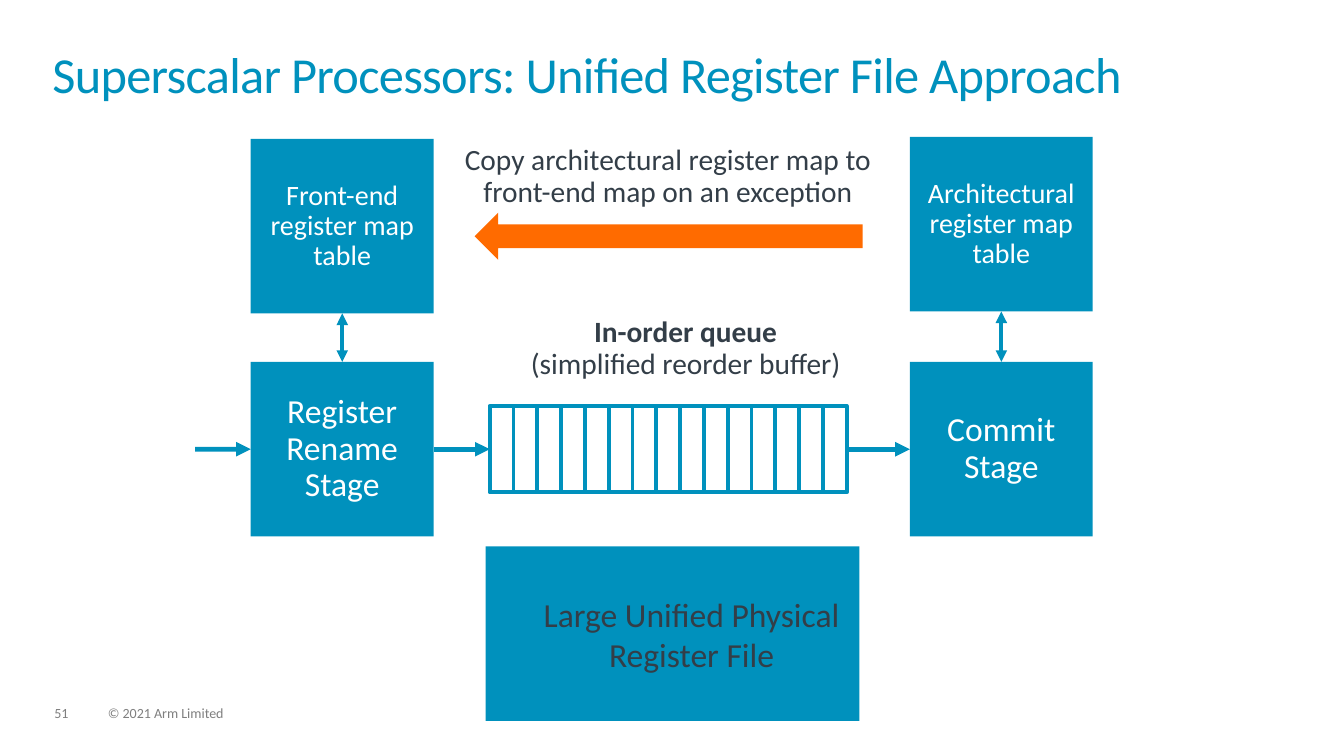
from lxml.etree import SubElement
from pptx import Presentation
from pptx.dml.color import RGBColor
from pptx.enum.shapes import MSO_CONNECTOR, MSO_SHAPE
from pptx.enum.text import MSO_ANCHOR, MSO_AUTO_SIZE, PP_ALIGN
from pptx.oxml.ns import qn
from pptx.util import Cm, Pt

BLUE = RGBColor(0x00, 0x91, 0xBD)
ORANGE = RGBColor(0xFF, 0x6B, 0x00)
SLATE = RGBColor(0x33, 0x3E, 0x48)
GREY = RGBColor(0x7F, 0x7F, 0x7F)
WHITE = RGBColor(0xFF, 0xFF, 0xFF)
FONT = "Calibri"
TOP, LEFT, BOTTOM, RIGHT = range(4)
BLOCK_W, BLOCK_H = 4.61, 4.4
QUEUE_CELLS = 15


def write(tf, text, size, color, align=PP_ALIGN.CENTER, spacing=0.9):
    """Fill a text frame with one formatted paragraph; a vertical tab breaks a line."""
    tf.word_wrap = True
    tf.text = text
    p = tf.paragraphs[0]
    p.alignment = align
    p.line_spacing = spacing
    for r in p.runs:
        r.font.name = FONT
        r.font.size = Pt(size)
        r.font.color.rgb = color
    return p


def clear_margins(tf):
    tf.margin_left = tf.margin_top = tf.margin_right = tf.margin_bottom = 0


def add_label(slide, x, y, w, h, text, size, color, align=PP_ALIGN.CENTER):
    tf = slide.shapes.add_textbox(Cm(x), Cm(y), Cm(w), Cm(h)).text_frame
    clear_margins(tf)
    return write(tf, text, size, color, align)


def add_filled(slide, x, y, w, h, color=BLUE, kind=MSO_SHAPE.RECTANGLE):
    sp = slide.shapes.add_shape(kind, Cm(x), Cm(y), Cm(w), Cm(h))
    sp.shadow.inherit = False
    sp.fill.solid()
    sp.fill.fore_color.rgb = color
    sp.line.fill.background()
    return sp


def add_block(slide, x, y, text, size):
    sp = add_filled(slide, x, y, BLOCK_W, BLOCK_H)
    sp.text_frame.vertical_anchor = MSO_ANCHOR.MIDDLE
    write(sp.text_frame, text, size, WHITE)
    return sp


def add_line(slide, x1, y1, x2, y2, width=2.75, ends=()):
    """Draw a line in EMU coordinates; ends lists headEnd and tailEnd in that order."""
    line = slide.shapes.add_connector(MSO_CONNECTOR.STRAIGHT, x1, y1, x2, y2)
    line.line.color.rgb = BLUE
    line.line.width = Pt(width)
    for end in ends:
        SubElement(line.line._get_or_add_ln(), qn(f"a:{end}"), type="triangle")
    SubElement(line._element.spPr, qn("a:effectLst"))
    return line


def join(slide, start, start_side, stop, stop_side, width, ends):
    line = add_line(slide, 0, 0, 0, 0, width, ends)
    line.begin_connect(start, start_side)
    line.end_connect(stop, stop_side)


def add_title(slide, x, y, w, h):
    title = slide.shapes.title
    title.left, title.top, title.width, title.height = Cm(x), Cm(y), Cm(w), Cm(h)
    tf = title.text_frame
    tf.auto_size = MSO_AUTO_SIZE.NONE
    tf.vertical_anchor = MSO_ANCHOR.TOP
    clear_margins(tf)
    p = write(tf, "Superscalar Processors: Unified Register File Approach",
              36, BLUE, PP_ALIGN.LEFT, 0.85)
    p.runs[0].font._element.set("spc", "-50")


def add_queue(slide, x, y, w, h):
    queue = slide.shapes.add_shape(MSO_SHAPE.RECTANGLE, Cm(x), Cm(y), Cm(w), Cm(h))
    queue.shadow.inherit = False
    queue.fill.background()
    queue.line.color.rgb = BLUE
    queue.line.width = Pt(2.75)
    for i in range(1, QUEUE_CELLS):
        cx = Cm(x + i * w / QUEUE_CELLS)
        add_line(slide, cx, Cm(y), cx, Cm(y + h))
    p = add_label(slide, x + 0.44, y - 2.23, w, 1.63,
                  "In-order queue\v(simplified reorder buffer)", 21, SLATE)
    p.runs[0].font.bold = True
    return queue


def add_register_file(slide, x, y, w, h):
    sp = add_filled(slide, x, y, w, h)
    tf = sp.text_frame
    clear_margins(tf)
    tf.margin_left = Cm(0.96)
    tf.vertical_anchor = MSO_ANCHOR.MIDDLE
    write(tf, "Large Unified Physical\vRegister File", 24, SLATE, spacing=1.0)


def add_exception_copy(slide, x, y, w):
    add_label(slide, x, y, w, 1.63,
              "Copy architectural register map to front-end map on an exception",
              21, SLATE)
    add_filled(slide, x + 0.53, y + 1.7, w - 1.02, 1.19, ORANGE, MSO_SHAPE.LEFT_ARROW)


def add_pipeline(slide, x, y):
    """Place both stages with their map tables above and the queue between them."""
    commit_x = x + 16.61
    table_y = y - 5.62
    rename = add_block(slide, x, y, "Register\vRename\vStage", 24)
    front_map = add_block(slide, x, table_y, "Front-end register map table", 20)
    arch_map = add_block(slide, commit_x, table_y - 0.05,
                         "Architectural register map table", 20)
    commit = add_block(slide, commit_x, y, "Commit\vStage", 24)
    queue = add_queue(slide, x + 6.02, y + 1.11, 9, 2.18)

    flow, both = ["tailEnd"], ["headEnd", "tailEnd"]
    join(slide, rename, RIGHT, queue, LEFT, 3.5, flow)
    join(slide, queue, RIGHT, commit, LEFT, 3.5, flow)
    join(slide, rename, TOP, front_map, BOTTOM, 2.75, both)
    join(slide, commit, TOP, arch_map, BOTTOM, 2.75, both)
    mid = Cm(y + BLOCK_H / 2)
    entry = add_line(slide, Cm(x - 1.4), mid, Cm(x), mid, 3.5, flow)
    entry.end_connect(rename, LEFT)

    add_exception_copy(slide, x + 5.11, table_y + 0.16, 10.8)
    add_register_file(slide, x + 5.92, y + 4.65, 9.42, BLOCK_H)


def add_footer(slide, x, y):
    add_label(slide, x, y, 0.86, 0.38, "51", 10, GREY, PP_ALIGN.LEFT)
    add_label(slide, x + 1.35, y, 12.88, 0.38, "© 2021 Arm Limited",
              10, GREY, PP_ALIGN.LEFT)


def main():
    prs = Presentation()
    prs.slide_width, prs.slide_height = Cm(33.87), Cm(19.05)
    slide = prs.slides.add_slide(prs.slide_layouts[5])
    add_title(slide, 1.32, 1.32, 31.19, 1.83)
    add_pipeline(slide, 6.32, 9.12)
    add_footer(slide, 1.37, 17.81)
    prs.save("out.pptx")


if __name__ == "__main__":
    main()
